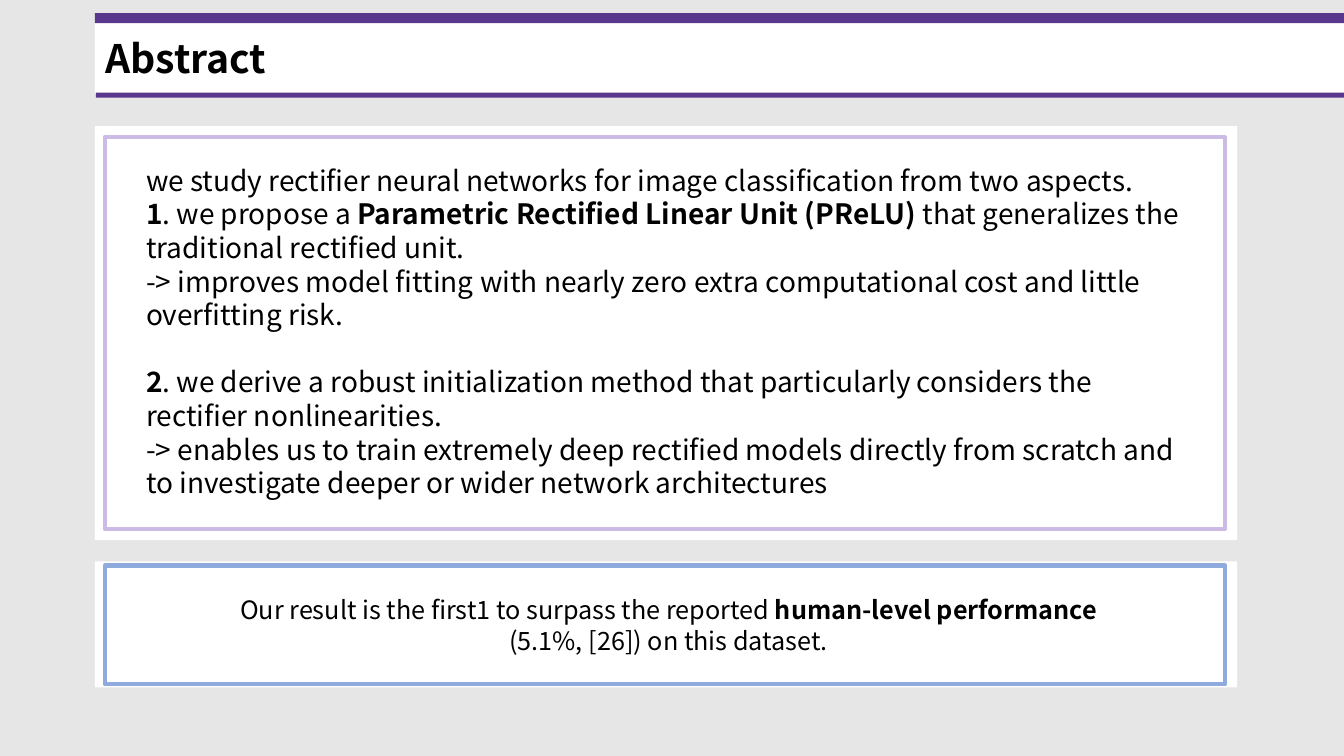
from dataclasses import dataclass

from pptx import Presentation
from pptx.dml.color import RGBColor
from pptx.enum.shapes import MSO_SHAPE
from pptx.enum.text import MSO_AUTO_SIZE, PP_ALIGN
from pptx.slide import Slide
from pptx.util import Inches, Pt

FONT = "Noto Sans CJK KR"
WHITE = RGBColor(0xFF, 0xFF, 0xFF)
BLACK = RGBColor(0x00, 0x00, 0x00)
GREY = RGBColor(0xE7, 0xE6, 0xE6)
PURPLE = RGBColor(0x58, 0x37, 0x8D)
LILAC = RGBColor(0xCC, 0xBC, 0xE5)
BLUE = RGBColor(0x8F, 0xAA, 0xDC)


@dataclass(frozen=True)
class Panel:
    left: float
    top: float
    width: float
    height: float
    fill: RGBColor = WHITE
    line: RGBColor | None = None


@dataclass(frozen=True)
class Span:
    text: str
    bold: bool = False


@dataclass(frozen=True)
class Para:
    spans: tuple[Span, ...]
    space_before: float = 0


@dataclass(frozen=True)
class TextBlock:
    left: float
    top: float
    width: float
    height: float
    size: float
    paras: tuple[Para, ...]
    align: PP_ALIGN = PP_ALIGN.LEFT


PANELS = (
    # Result card
    Panel(0.94, 5.57, 11.33, 1.25),
    Panel(1.04, 5.61, 11.11, 1.18, line=BLUE),
    # Title band
    Panel(0.94, 0.2, 12.39, 0.73),
    Panel(0.94, 0.13, 12.39, 0.1, PURPLE),
    Panel(0.95, 0.92, 12.38, 0.05, PURPLE),
    # Abstract card
    Panel(0.94, 1.25, 11.33, 4.11),
    Panel(1.04, 1.36, 11.11, 3.89, line=LILAC),
)

TITLE = TextBlock(0.95, 0.29, 10.54, 0.57, 28, (Para((Span("Abstract", True),)),))

ABSTRACT = TextBlock(1.35, 1.57, 10.51, 3.47, 20, (
    Para((Span("we study rectifier neural networks for image classification "
               "from two aspects."),)),
    Para((Span("1", True), Span(". we propose a "),
          Span("Parametric Rectified Linear Unit (PReLU) ", True),
          Span("that generalizes the traditional rectified unit."))),
    Para((Span("-> improves model fitting with nearly zero extra computational "
               "cost and little overfitting risk."),)),
    Para((Span("2", True),
          Span(". we derive a robust initialization method that particularly "
               "considers the rectifier nonlinearities.")), space_before=24),
    Para((Span("-> enables us to train extremely deep rectified models directly "
               "from scratch and to investigate deeper or wider network "
               "architectures"),)),
))

RESULT = TextBlock(1.27, 5.85, 10.78, 0.71, 18, (
    Para((Span("Our result is the first1 to surpass the reported "),
          Span("human-level performance ", True))),
    Para((Span("(5.1%, [26]) on this dataset. "),)),
), PP_ALIGN.CENTER)


def add_panel(page: Slide, panel: Panel) -> None:
    box = page.shapes.add_shape(
        MSO_SHAPE.RECTANGLE, Inches(panel.left), Inches(panel.top),
        Inches(panel.width), Inches(panel.height))
    box.shadow.inherit = False
    box.fill.solid()
    box.fill.fore_color.rgb = panel.fill
    if panel.line is None:
        box.line.fill.background()
    else:
        box.line.color.rgb = panel.line
        box.line.width = Pt(3)


def add_text(page: Slide, block: TextBlock) -> None:
    box = page.shapes.add_textbox(
        Inches(block.left), Inches(block.top),
        Inches(block.width), Inches(block.height))
    frame = box.text_frame
    frame.word_wrap = True
    frame.auto_size = MSO_AUTO_SIZE.SHAPE_TO_FIT_TEXT
    for index, para in enumerate(block.paras):
        paragraph = frame.add_paragraph() if index else frame.paragraphs[0]
        paragraph.alignment = block.align
        paragraph.space_before = Pt(para.space_before)
        paragraph.font.name = FONT
        paragraph.font.size = Pt(block.size)
        paragraph.font.color.rgb = BLACK
        for span in para.spans:
            run = paragraph.add_run()
            run.text = span.text
            run.font.bold = span.bold


def main() -> None:
    deck = Presentation()
    deck.slide_width, deck.slide_height = Inches(13.33), Inches(7.5)
    page = deck.slides.add_slide(deck.slide_layouts[6])
    page.background.fill.solid()
    page.background.fill.fore_color.rgb = GREY

    for panel in PANELS:
        add_panel(page, panel)
    for block in (TITLE, ABSTRACT, RESULT):
        add_text(page, block)
    deck.save("out.pptx")


if __name__ == "__main__":
    main()
